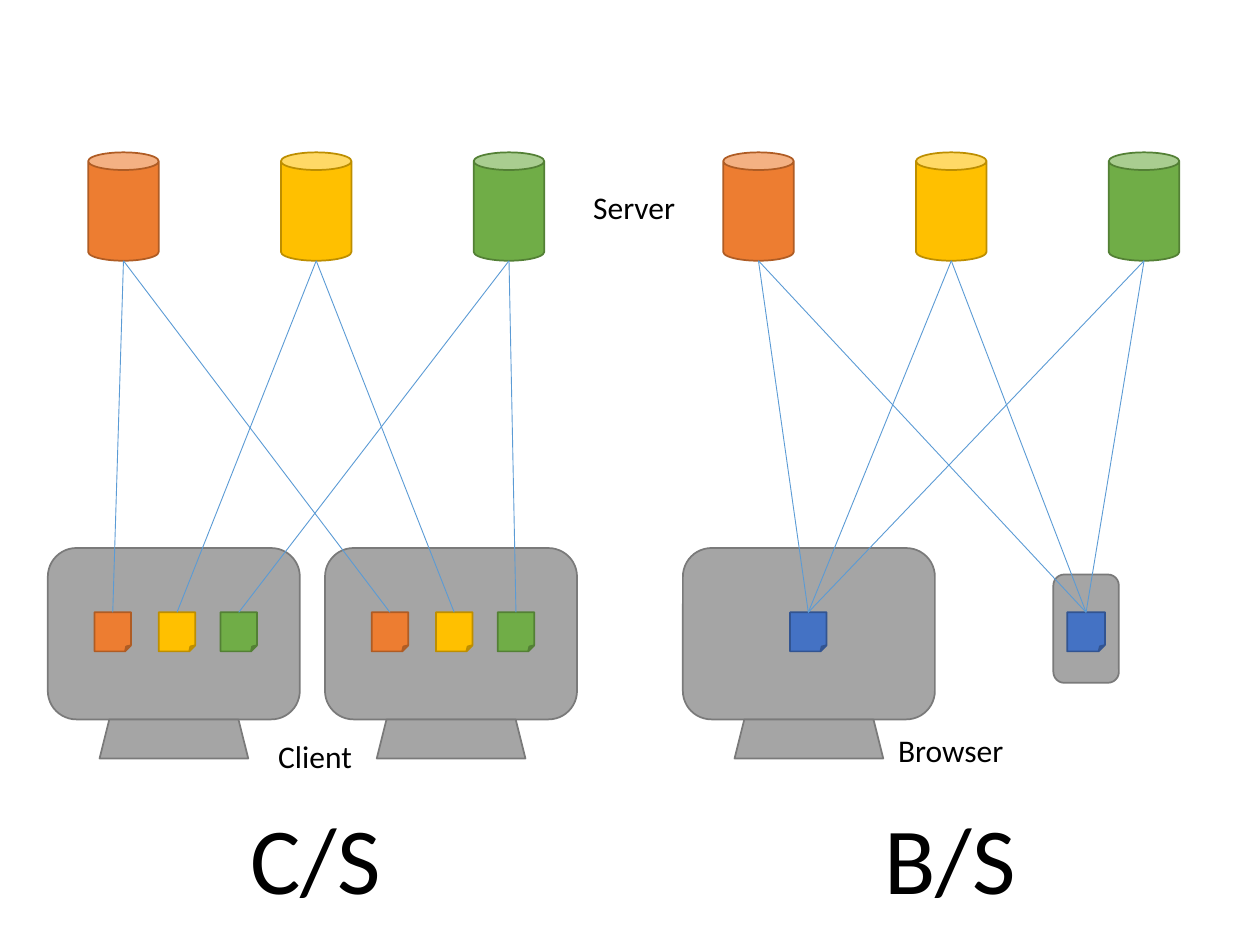
from lxml import etree
from pptx import Presentation
from pptx import util as u
from pptx.dml.color import RGBColor
from pptx.enum import shapes, text
from pptx.oxml.ns import qn

PX = 9144
COLORS = {
    "orange": ("ED7D31", "AF5C24"),
    "yellow": ("FFC000", "BD8E00"),
    "green": ("70AD47", "538035"),
    "blue": ("4472C4", "325491"),
    "gray": ("A5A5A5", "7A7A7A"),
    "link": "5B9BD5",
    "text": "000000",
}
SERVERS = ("orange", "yellow", "green")
KIND = shapes.MSO_SHAPE
FRAME = {
    "word_wrap": False,
    "auto_size": text.MSO_AUTO_SIZE.SHAPE_TO_FIT_TEXT,
}


def px(*values):
    """Turn px lengths into EMU."""
    return [u.Emu(v * PX) for v in values]


def add_shape(parent, kind, box, color):
    """Add a filled and outlined preset shape."""
    sp = parent.add_shape(kind, *px(*box))
    fill, line = COLORS[color]
    sp.shadow.inherit = False
    sp.fill.solid()
    sp.fill.fore_color.rgb = RGBColor.from_string(fill)
    sp.line.color.rgb = RGBColor.from_string(line)
    sp.line.width = u.Pt(1)
    return sp


def add_label(parent, words, box, size=18):
    """Add a single line of text."""
    tf = parent.add_textbox(*px(*box)).text_frame
    for name, value in FRAME.items():
        setattr(tf, name, value)
    r = tf.paragraphs[0].add_run()
    r.text = words
    for name, value in {"name": "Calibri", "size": u.Pt(size)}.items():
        setattr(r.font, name, value)
    r.font.color.rgb = RGBColor.from_string(COLORS["text"])


def add_link(parent, server, note):
    """Join the bottom of a server to the top of a note."""
    cn = parent.add_connector(
        shapes.MSO_CONNECTOR.STRAIGHT,
        server.left + server.width // 2, server.top + server.height,
        note.left + note.width // 2, note.top)
    cn.line.color.rgb = RGBColor.from_string(COLORS["link"])
    cn.line.width = u.Pt(0.5)
    etree.SubElement(cn._element.spPr, qn("a:effectLst"))


def add_servers(parent, x, y):
    """Draw a row of server cans and return them."""
    return [add_shape(parent, KIND.CAN, (x + 153 * i, y, 56, 86), color)
            for i, color in enumerate(SERVERS)]


def add_monitor(parent, x, y, notes):
    """Draw a grouped monitor and return its notes."""
    group = parent.add_group_shape().shapes
    add_shape(group, KIND.ROUNDED_RECTANGLE, (x, y, 200, 136), "gray")
    add_shape(group, KIND.TRAPEZOID, (x + 41, y + 136, 118, 31), "gray")
    return [add_shape(group, KIND.FOLDED_CORNER, (x + dx, y + 51, 29, 31), color)
            for dx, color in notes]


def add_client_side(parent, x, y):
    """Draw the C/S half, with one note per server on each monitor."""
    servers = add_servers(parent, x + 32, y)
    notes = list(zip((37, 88, 137), SERVERS))
    monitors = [add_monitor(parent, x + dx, y + 314, notes) for dx in (0, 220)]
    for monitor in monitors:
        for server, note in zip(servers, monitor):
            add_link(parent, server, note)
    add_label(parent, "C/S", (x + 151, y + 509, 125, 101), 54)
    add_label(parent, "Client", (x + 173, y + 459, 79, 40))


def add_browser_side(parent, x, y):
    """Draw the B/S half, with one shared note on each device."""
    servers = add_servers(parent, x + 32, y)
    notes = add_monitor(parent, x, y + 314, [(85, "blue")])
    add_shape(parent, KIND.ROUNDED_RECTANGLE, (x + 294, y + 335, 52, 86), "gray")
    notes.append(add_shape(parent, KIND.FOLDED_CORNER,
                           (x + 305, y + 365, 30, 31), "blue"))
    for note in notes:
        for server in servers:
            add_link(parent, server, note)
    add_label(parent, "B/S", (x + 150, y + 509, 125, 101), 54)
    add_label(parent, "Browser", (x + 161, y + 454, 104, 40))


def main():
    """Build and save the slide."""
    prs = Presentation()
    prs.slide_width, prs.slide_height = px(1000, 750)
    parent = prs.slides.add_slide(prs.slide_layouts[6]).shapes
    add_client_side(parent, 38, 121)
    add_browser_side(parent, 542, 121)
    add_label(parent, "Server", (461, 144, 86, 40))
    prs.save("out.pptx")


if __name__ == "__main__":
    main()
